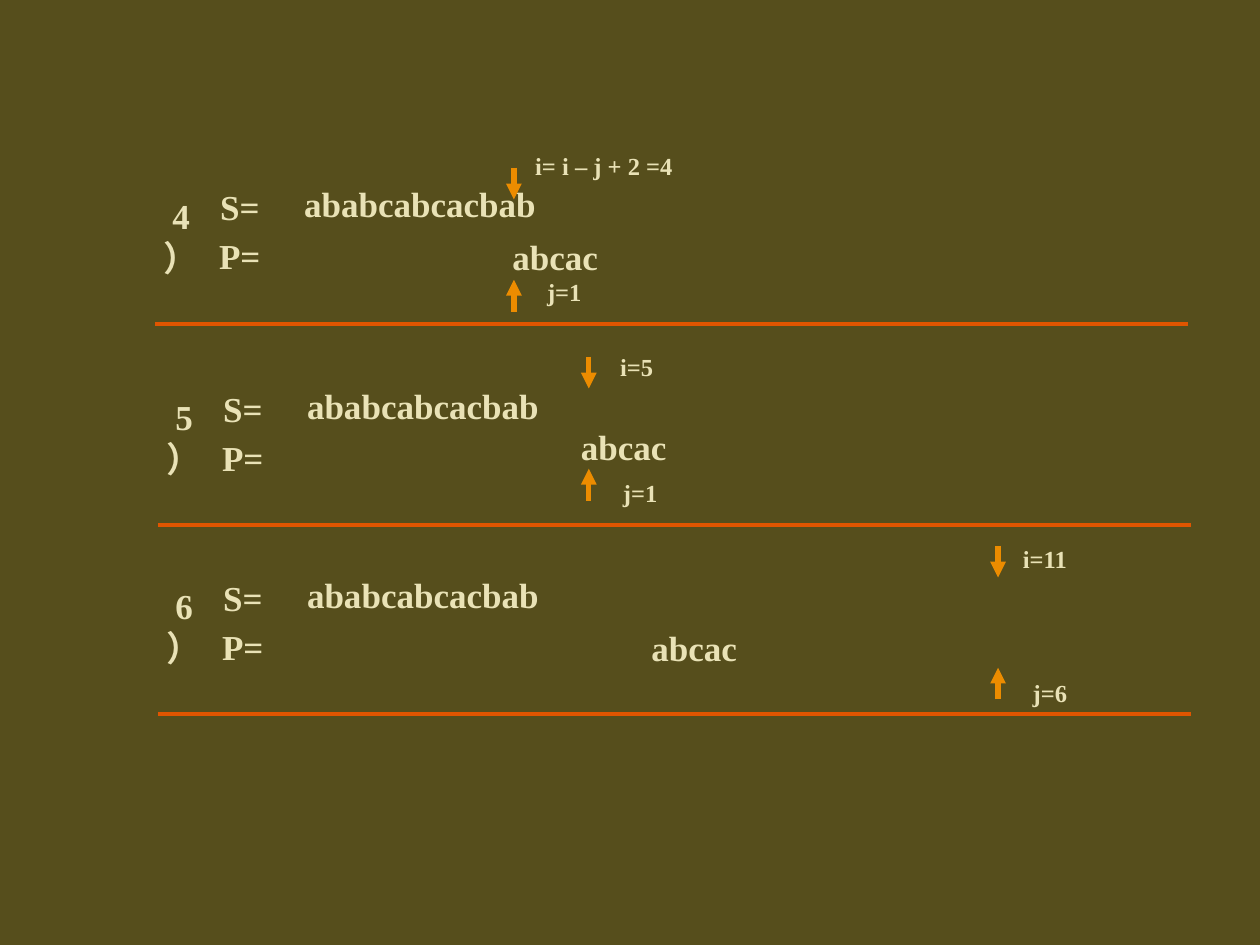
import pptx
import pptx.dml.color
import pptx.enum.shapes
import pptx.enum.text
import pptx.oxml
import pptx.oxml.ns
import pptx.util
from pptx.util import Cm

COLORS = {"background": "564E1C", "text": "E9E2B6", "arrow": "EC8C00", "rule": "E05500"}
FONT = "Times New Roman"
ALIGN = pptx.enum.text.PP_ALIGN
ANCHOR = pptx.enum.text.MSO_ANCHOR
SOURCE_TEXT = "ababcabcacbab"
PATTERN = "abcac"
RULE_WIDTH = 20.83
ARROW_LENGTH = 0.64

STEPS = [
    {"box": (3.12, 3.56), "label": "4）", "pattern": (6.96, 1.07),
     "arrow_x": 7.24, "down_y": -0.18, "up_y": 2.08,
     "i": ("i= i – j + 2 =4", 7.42, -0.64, 3.61, 0.94),
     "j": ("j=1", 7.62, 1.9), "i_format": {"align": ALIGN.LEFT, "anchor": ANCHOR.TOP, "wrap": True}},
    {"box": (3.18, 7.62), "label": "5）", "pattern": (8.28, 0.84),
     "arrow_x": 8.69, "down_y": -0.43, "up_y": 1.83,
     "i": ("i=5", 8.92, -0.69, 1.47, 0.94),
     "j": ("j=1", 9.09, 1.9), "i_format": {}},
    {"box": (3.18, 11.43), "label": "6）", "pattern": (9.7, 1.07),
     "arrow_x": 16.94, "down_y": -0.43, "up_y": 2.03,
     "i": ("i=11", 17.15, -0.64, 1.47, 0.94),
     "j": ("j=6", 17.35, 2.11), "i_format": {}},
]


def rgb(name):
    """Return the named colour."""
    return pptx.dml.color.RGBColor.from_string(COLORS[name])


def add_text(shapes, text, left, top, width, height, size=20,
             align=ALIGN.CENTER, anchor=ANCHOR.MIDDLE, wrap=False):
    """Add a bold text box, one paragraph for each line of text."""
    shape = shapes.add_textbox(Cm(left), Cm(top), Cm(width), Cm(height))
    text_frame = shape.text_frame
    text_frame.text = text
    text_frame.word_wrap = wrap
    text_frame.vertical_anchor = anchor
    for index, paragraph in enumerate(text_frame.paragraphs):
        paragraph.alignment = align
        if index:
            paragraph.space_before = pptx.util.Pt(size * 0.2)
        for run in paragraph.runs:
            run.font.name = FONT
            run.font.size = pptx.util.Pt(size)
            run.font.bold = True
            run.font.color.rgb = rgb("text")


def add_line(shapes, start, end, color, weight, arrowhead=False):
    """Add a straight line, with an arrowhead at its end if asked."""
    connector = shapes.add_connector(
        pptx.enum.shapes.MSO_CONNECTOR.STRAIGHT, *[Cm(value) for value in (*start, *end)])
    connector.line.color.rgb = rgb(color)
    connector.line.width = pptx.util.Pt(weight)
    if arrowhead:
        tail = pptx.oxml.parse_xml(
            f'<a:tailEnd {pptx.oxml.ns.nsdecls("a")} type="triangle"/>')
        connector.line._get_or_add_ln().append(tail)
    connector._element.spPr.append(
        pptx.oxml.parse_xml(f'<a:effectLst {pptx.oxml.ns.nsdecls("a")}/>'))


def add_step(slide, step):
    """Add one matching step, placed relative to its box corner."""
    shapes = slide.shapes.add_group_shape().shapes
    left, top = step["box"]
    pattern_x, pattern_y = step["pattern"]
    add_text(shapes, SOURCE_TEXT, left + 2.76, top, 17.63, 1.09, align=ALIGN.JUSTIFY, wrap=True)
    add_text(shapes, PATTERN, left + pattern_x, top + pattern_y, 6.5, 1.09,
             align=ALIGN.JUSTIFY, wrap=True)

    arrow_x = left + step["arrow_x"]
    down_y, up_y = top + step["down_y"], top + step["up_y"]
    add_line(shapes, (arrow_x, down_y), (arrow_x, down_y + ARROW_LENGTH), "arrow", 3, True)
    add_line(shapes, (arrow_x, up_y + ARROW_LENGTH), (arrow_x, up_y), "arrow", 3, True)

    i_text, i_x, i_y, i_width, i_height = step["i"]
    add_text(shapes, i_text, left + i_x, top + i_y, i_width, i_height, 14, **step["i_format"])
    j_text, j_x, j_y = step["j"]
    add_text(shapes, j_text, left + j_x, top + j_y, 1.27, 0.84, 14)

    add_text(shapes, step["label"], left - 0.23, top + 0.64, 1.52, 1.14)
    add_text(shapes, "S=\nP=", left + 1.04, top + 0.05, 1.35, 2.11)
    rule_y = top + 2.97
    add_line(shapes, (left + RULE_WIDTH, rule_y), (left, rule_y), "rule", 2.25)


def main():
    """Build the slide and save it."""
    presentation = pptx.Presentation()
    presentation.slide_width, presentation.slide_height = Cm(25.4), Cm(19.05)
    slide = presentation.slides.add_slide(presentation.slide_layouts[6])
    slide.background.fill.solid()
    slide.background.fill.fore_color.rgb = rgb("background")
    for step in STEPS:
        add_step(slide, step)
    presentation.save("out.pptx")


if __name__ == "__main__":
    main()
